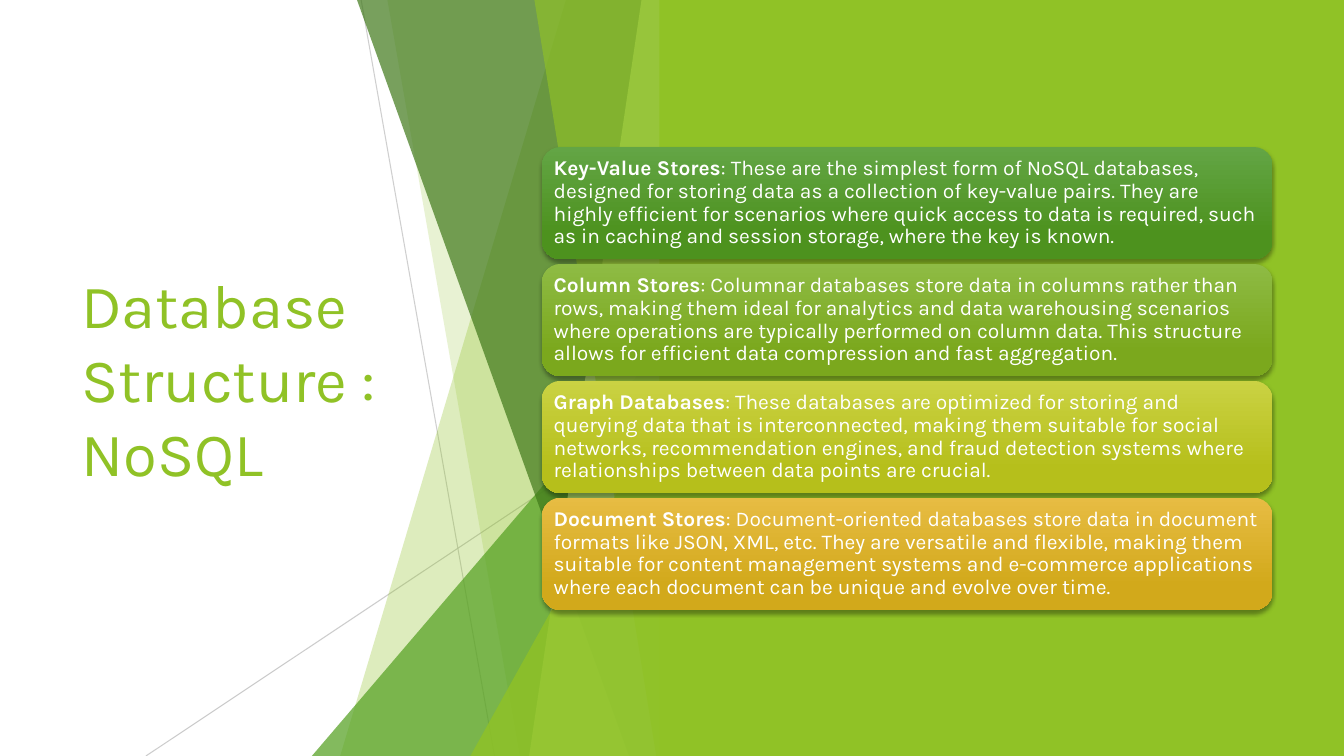
import pptx
import pptx.dml.color
import pptx.enum.shapes
import pptx.enum.text
import pptx.oxml
import pptx.oxml.ns
import pptx.util

PX = 9525
FONT = "Karla"
COLORS = {
    "lime": "90C226",
    "green": "54A021",
    "forest": "3F7819",
    "pale": "C0E474",
    "grey": "BFBFBF",
    "white": "FFFFFF",
    "shadow": "000000",
}
STORES = [
    ("Key-Value Stores", ("63A545", "4D921E"),
     ": These are the simplest form of NoSQL databases, designed for storing data as a "
     "collection of key-value pairs. They are highly efficient for scenarios where quick "
     "access to data is required, such as in caching and session storage, where the key is known."),
    ("Column Stores", ("8EBB44", "7BA81D"),
     ": Columnar databases store data in columns rather than rows, making them ideal for "
     "analytics and data warehousing scenarios where operations are typically performed on "
     "column data. This structure allows for efficient data compression and fast aggregation."),
    ("Graph Databases", ("CAD243", "B6BF1B"),
     ": These databases are optimized for storing and querying data that is interconnected, "
     "making them suitable for social networks, recommendation engines, and fraud detection "
     "systems where relationships between data points are crucial."),
    ("Document Stores", ("E7BC43", "D2A91B"),
     ": Document-oriented databases store data in document formats like JSON, XML, etc. They "
     "are versatile and flexible, making them suitable for content management systems and "
     "e-commerce applications where each document can be unique and evolve over time."),
]
SHAPE = pptx.enum.shapes.MSO_SHAPE
ANCHOR = pptx.enum.text.MSO_ANCHOR
ALIGN = pptx.enum.text.PP_ALIGN


def px(*values):
    return [pptx.util.Emu(round(v * PX)) for v in values]


def rgb(value):
    return pptx.dml.color.RGBColor.from_string(value)


def style(obj, formats):
    for name, value in formats.items():
        setattr(obj, name, value)


def add_xml(parent, tag, **attrs):
    el = pptx.oxml.parse_xml(f"<a:{tag} {pptx.oxml.ns.nsdecls('a')}/>")
    for name, value in attrs.items():
        el.set(name, str(value))
    parent.append(el)
    return el


def set_alpha(sp, percent):
    for clr in sp._element.spPr.iter(pptx.oxml.ns.qn("a:srgbClr")):
        add_xml(clr, "alpha", val=percent * 1000)


def paint(sp, color, percent=100):
    sp.shadow.inherit = False
    sp.line.fill.background()
    sp.fill.solid()
    sp.fill.fore_color.rgb = rgb(COLORS[color])
    if percent < 100:
        set_alpha(sp, percent)


def add_run(p, text, size, color, bold=False):
    r = p.add_run()
    r.text = text
    style(r.font, {"name": FONT, "size": pptx.util.Pt(size), "bold": bold})
    r.font.color.rgb = rgb(COLORS[color])


def add_ray(shapes, start, end, percent):
    kind = pptx.enum.shapes.MSO_CONNECTOR.STRAIGHT
    line = shapes.add_connector(kind, *px(*start, *end))
    line.line.width = pptx.util.Pt(0.75)
    line.line.color.rgb = rgb(COLORS["grey"])
    set_alpha(line, percent)
    add_xml(line._element.spPr, "effectLst")


def add_band(shapes, box, top_x, bottom_x, color, percent):
    x, y, w, h = box
    builder = shapes.build_freeform(x + top_x, y, scale=PX)
    builder.add_line_segments([(x + w, y), (x + w, y + h), (x + bottom_x, y + h)])
    paint(builder.convert_to_shape(), color, percent)


def add_corner(shapes, box, w, h, color, percent):
    x, y, box_w, box_h = box
    sp = shapes.add_shape(SHAPE.ISOSCELES_TRIANGLE, *px(x + box_w - w, y + box_h - h, w, h))
    sp.adjustments[0] = 1.0
    paint(sp, color, percent)


def add_facets(shapes, box):
    x, y, w, h = box
    add_ray(shapes, (x + 46, y), (x + 173, y + h), 75)
    add_ray(shapes, (x + w, y + 387), (x - 159, y + h), 80)
    add_band(shapes, box, 241, 26, "lime", 30)
    add_band(shapes, box, 71, 197, "lime", 20)
    add_corner(shapes, box, 342, 400, "green", 72)
    add_band(shapes, box, 42, 301, "forest", 70)
    add_band(shapes, box, 313, 206, "pale", 70)
    add_band(shapes, box, 211, 327, "lime", 65)
    add_corner(shapes, box, 191, 343, "lime", 80)


def add_panel(shapes, box):
    paint(shapes.add_shape(SHAPE.RECTANGLE, *px(*box)), "lime")


def add_title(shapes, box):
    tf = shapes.add_textbox(*px(*box)).text_frame
    style(tf, {"word_wrap": True, "vertical_anchor": ANCHOR.MIDDLE})
    add_run(tf.paragraphs[0], "Database Structure : NoSQL", 44, "lime")


def add_card(shapes, box, heading, gradient, body):
    sp = shapes.add_shape(SHAPE.ROUNDED_RECTANGLE, *px(*box))
    sp.shadow.inherit = False
    sp.line.fill.background()
    sp.fill.gradient()
    sp.fill.gradient_angle = 270
    for stop, position, color in zip(sp.fill.gradient_stops, (0, 0.78), gradient):
        stop.position = position
        stop.color.rgb = rgb(color)
    effects = sp._element.spPr.find(pptx.oxml.ns.qn("a:effectLst"))
    shadow = add_xml(effects, "outerShdw", blurRad=pptx.util.Pt(3), dist=pptx.util.Pt(2),
                     dir=5400000, rotWithShape=0)
    add_xml(add_xml(shadow, "srgbClr", val=COLORS["shadow"]), "alpha", val=35000)
    tf = sp.text_frame
    style(tf, {"word_wrap": True, "vertical_anchor": ANCHOR.MIDDLE})
    sides = ("left", "top", "right", "bottom")
    style(tf, {f"margin_{side}": px(6)[0] for side in sides})
    p = tf.paragraphs[0]
    style(p, {"alignment": ALIGN.LEFT, "line_spacing": 0.9})
    add_run(p, heading, 15, "white", bold=True)
    add_run(p, body, 15, "white")


def add_cards(shapes, box, card_h=107):
    x, y, w, h = box
    pitch = (h - card_h) / (len(STORES) - 1)
    for i, (heading, gradient, body) in enumerate(STORES):
        add_card(shapes, (x, y + i * pitch, w, card_h), heading, gradient, body)


def main():
    prs = pptx.Presentation()
    prs.slide_width, prs.slide_height = px(1280, 720)
    shapes = prs.slides.add_slide(prs.slide_layouts[6]).shapes
    add_title(shapes, (68, 145, 372, 430))
    add_facets(shapes, (298, 0, 341, 720))
    add_panel(shapes, (628, 0, 652, 720))
    add_cards(shapes, (516, 140, 696, 441))
    prs.save("out.pptx")


if __name__ == "__main__":
    main()
